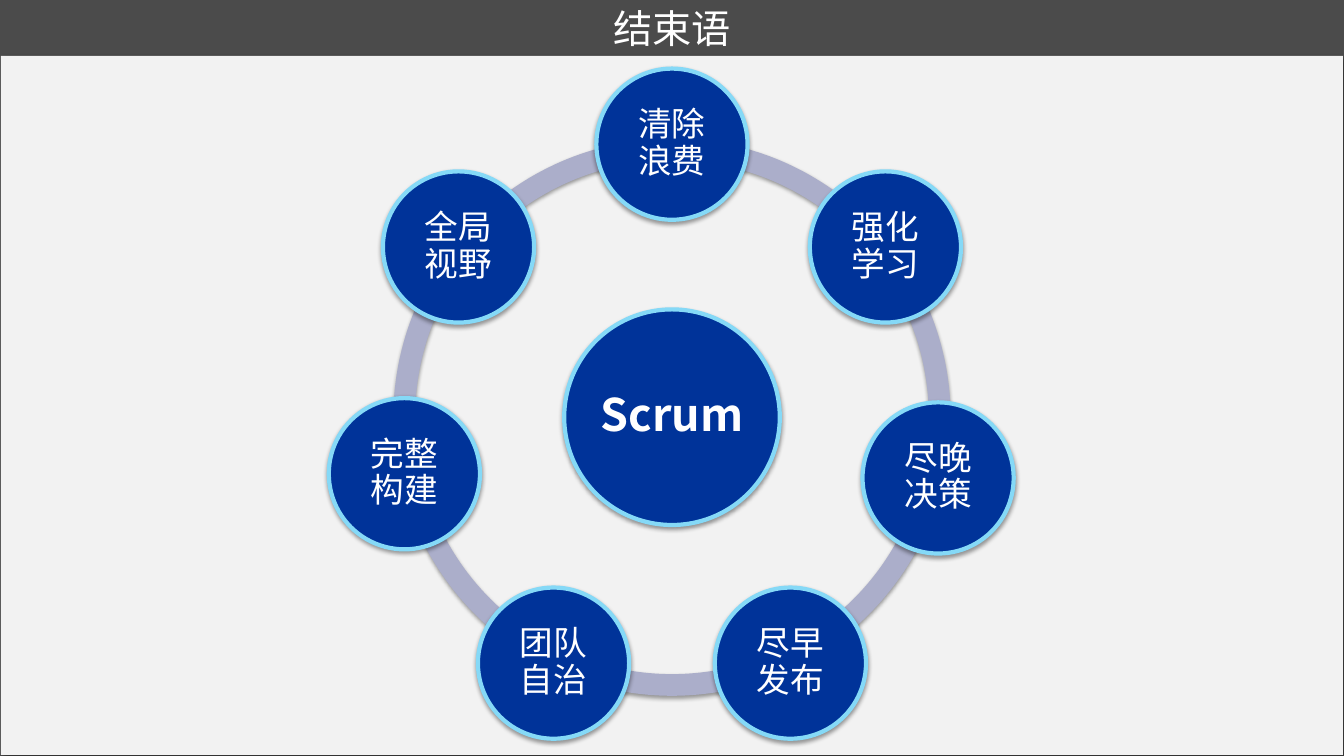
import math

from lxml import etree
from pptx import Presentation
from pptx.dml.color import RGBColor
from pptx.enum import shapes, text
from pptx.oxml import ns
from pptx.util import Pt

WIDTH, HEIGHT = 960, 540
PRINCIPLES = ["清除浪费", "强化学习", "尽晚决策", "尽早发布", "团队自治", "完整构建", "全局视野"]
NUDGES = {"完整构建": (-1, -3)}
RING_SHADOW = (38, 3.1, 1.6, 90)
PANEL_SHADOW = (40, 4, 3, 45)


def color(value):
    return RGBColor.from_string(value)


def add_shadow(shape, opacity, blur, distance, angle):
    shape.shadow.inherit = False
    effects = shape._element.spPr.find(ns.qn("a:effectLst"))
    outer = etree.SubElement(
        effects, ns.qn("a:outerShdw"), blurRad=str(int(Pt(blur))),
        dist=str(int(Pt(distance))), dir=str(angle * 60000), algn="ctr", rotWithShape="0")
    black = etree.SubElement(outer, ns.qn("a:srgbClr"), val="000000")
    etree.SubElement(black, ns.qn("a:alpha"), val=str(opacity * 1000))


def add_filled(slide, kind, box, fill, shadow):
    shape = slide.shapes.add_shape(kind, *map(Pt, box))
    shape.fill.solid()
    shape.fill.fore_color.rgb = color(fill)
    shape.line.fill.background()
    add_shadow(shape, *shadow)
    return shape


def write(frame, words, font, size, bold=False):
    frame.word_wrap = True
    frame.vertical_anchor = text.MSO_ANCHOR.MIDDLE
    paragraph = frame.paragraphs[0]
    paragraph.alignment = text.PP_ALIGN.CENTER
    run = paragraph.add_run()
    run.text = words
    run.font.name = font
    run.font.size = Pt(size)
    run.font.bold = bold
    run.font.color.rgb = color("FFFFFF")
    return paragraph


def add_title(slide, box, words):
    title = slide.shapes.title
    title.left, title.top, title.width, title.height = map(Pt, box)
    write(title.text_frame, words, "Lato", 28)


def add_disc(slide, center, diameter, words, size, bold=False):
    x, y = center
    box = (x - diameter / 2, y - diameter / 2, diameter, diameter)
    disc = add_filled(slide, shapes.MSO_SHAPE.OVAL, box, "003399", RING_SHADOW)
    disc.line.color.rgb = color("85D9F7")
    disc.line.width = Pt(3)
    frame = disc.text_frame
    frame.margin_left = frame.margin_right = Pt(3)
    frame.margin_top = frame.margin_bottom = Pt(3)
    write(frame, words, "Noto Sans CJK SC", size, bold).line_spacing = 0.9


def add_cycle(slide, box, hub, principles):
    """Ring of arcs in the square box, with a disc at each joint and a hub."""
    left, top, side, _ = box
    center_x, center_y = left + side / 2, top + side / 2
    orbit = 195
    step = 360 / len(principles)
    angles = [(270 + step * index) % 360 for index in range(len(principles))]

    for angle in angles:
        arc = add_filled(slide, shapes.MSO_SHAPE.BLOCK_ARC, box, "ABAECA", RING_SHADOW)
        # Angles are stored in 1/60000 degree, adjustments in 1/100000.
        arc.adjustments[0] = angle * 0.6
        arc.adjustments[1] = (angle + step) % 360 * 0.6
        arc.adjustments[2] = 0.039

    add_disc(slide, (center_x, center_y), 154, hub, 32, bold=True)
    for principle, angle in zip(principles, map(math.radians, angles)):
        shift_x, shift_y = NUDGES.get(principle, (0, 0))
        center = (center_x + orbit * math.cos(angle) + shift_x,
                  center_y + orbit * math.sin(angle) + shift_y)
        add_disc(slide, center, 108, principle, 24)


def build_closing_slide(deck):
    slide = deck.slides.add_slide(deck.slide_layouts[5])
    slide.background.fill.solid()
    slide.background.fill.fore_color.rgb = color("4B4B4B")
    add_filled(slide, shapes.MSO_SHAPE.RECTANGLE, (0.75, 40, WIDTH - 1.5, HEIGHT - 40.75),
               "F2F2F2", PANEL_SHADOW)
    add_title(slide, (0, 1, WIDTH, 38), "结束语")
    add_cycle(slide, (281, 99, 398, 398), "Scrum", PRINCIPLES)


def main():
    deck = Presentation()
    deck.slide_width, deck.slide_height = Pt(WIDTH), Pt(HEIGHT)
    build_closing_slide(deck)
    deck.save("out.pptx")


if __name__ == "__main__":
    main()
